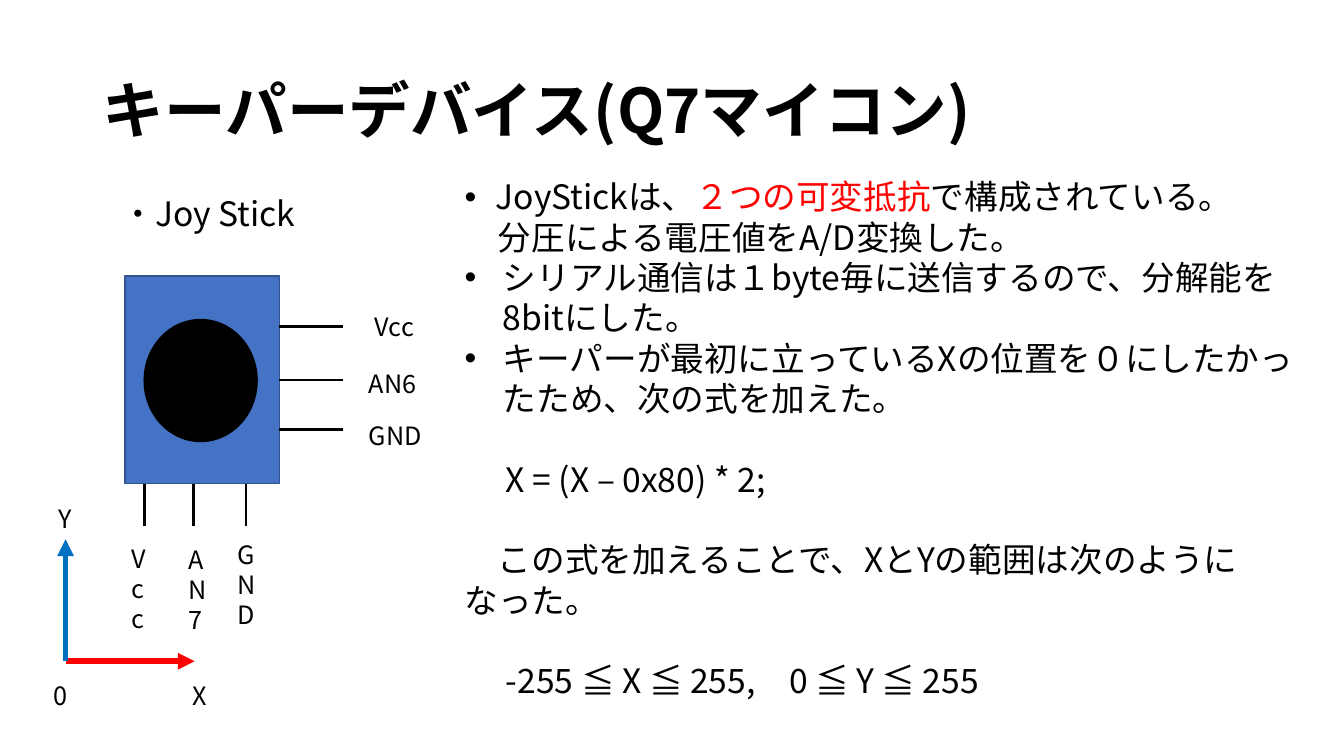
"""Build the slide on the keeper device and its joystick wiring."""
import pptx
import pptx.dml.color
import pptx.enum.shapes
import pptx.enum.text
import pptx.oxml.ns
import pptx.util
from lxml import etree
from pptx.util import Inches

RGBColor = pptx.dml.color.RGBColor
BLACK = RGBColor(0x00, 0x00, 0x00)
RED = RGBColor(0xFF, 0x00, 0x00)
AXIS_BLUE = RGBColor(0x00, 0x70, 0xC0)
BODY_BLUE = RGBColor(0x44, 0x72, 0xC4)
EDGE_BLUE = RGBColor(0x32, 0x54, 0x91)
FONT = "Noto Sans CJK JP"
LINE_GAP = 28.8
FIRST_INDENT = 0.33
FORMULA_INDENT = 0.41


def add_element(parent, tag, **attributes):
    return etree.SubElement(parent, pptx.oxml.ns.qn(tag), **attributes)


def write_text(paragraph, *runs, size=18, bold=False, margin=0, indent=0,
               bullet=None, gap=0):
    properties = paragraph._p.get_or_add_pPr()
    properties.set("marL", str(Inches(margin)))
    properties.set("indent", str(Inches(indent)))
    if bullet:
        add_element(properties, "a:buFont", typeface="Arial")
        add_element(properties, "a:buChar", char=bullet)
    paragraph.alignment = pptx.enum.text.PP_ALIGN.LEFT
    paragraph.space_before = pptx.util.Pt(gap)
    for text, color in runs:
        run = paragraph.add_run()
        run.text = text
        run.font.size = pptx.util.Pt(size)
        run.font.bold = bold
        run.font.color.rgb = color
        run.font.name = FONT
        add_element(run._r.get_or_add_rPr(), "a:ea", typeface=FONT)


def add_text_frame(shapes, left, top, width, height):
    box = shapes.add_textbox(Inches(left), Inches(top), Inches(width), Inches(height))
    box.text_frame.word_wrap = True
    box.text_frame.auto_size = pptx.enum.text.MSO_AUTO_SIZE.SHAPE_TO_FIT_TEXT
    return box.text_frame


def add_label(shapes, text, left, top, width=0.44, height=0.4, size=18):
    frame = add_text_frame(shapes, left, top, width, height)
    write_text(frame.paragraphs[0], (text, BLACK), size=size)


def add_solid(shapes, kind, left, top, width, height, fill, edge):
    solid = shapes.add_shape(kind, Inches(left), Inches(top), Inches(width), Inches(height))
    solid.shadow.inherit = False
    solid.fill.solid()
    solid.fill.fore_color.rgb = fill
    solid.line.color.rgb = edge
    solid.line.width = pptx.util.Pt(1)
    return solid


def add_line(shapes, start, end, color=BLACK, width=2, arrow=False):
    line = shapes.add_connector(pptx.enum.shapes.MSO_CONNECTOR.STRAIGHT,
                                *map(Inches, start + end))
    line.line.color.rgb = color
    line.line.width = pptx.util.Pt(width)
    if arrow:
        add_element(line.line._get_or_add_ln(), "a:tailEnd", type="triangle")
    add_element(line._element.spPr, "a:effectLst")
    return line


def add_title(slide):
    title = slide.shapes.title
    title.left, title.top, title.width, title.height = map(Inches, (0.92, 0.4, 11.5, 1.45))
    frame = title.text_frame
    frame.auto_size = pptx.enum.text.MSO_AUTO_SIZE.NONE
    frame.vertical_anchor = pptx.enum.text.MSO_ANCHOR.MIDDLE
    write_text(frame.paragraphs[0], ("キーパーデバイス(Q7マイコン)", BLACK), size=44, bold=True)
    frame.paragraphs[0].line_spacing = 0.9


def add_joystick(shapes):
    kinds = pptx.enum.shapes.MSO_SHAPE
    housing = add_solid(shapes, kinds.RECTANGLE, 1.24, 2.74, 1.53, 2.06, BODY_BLUE, EDGE_BLUE)
    add_solid(shapes, kinds.FLOWCHART_CONNECTOR, 1.43, 3.17, 1.12, 1.21, BLACK, BLACK)
    add_label(shapes, "・Joy Stick", 1.11, 1.86, 2.29, 0.5, size=24)

    for text, pin_x, left, top in (("Vcc", 1.43, 1.21, 5.34), ("AN7", 1.92, 1.77, 5.35),
                                   ("GND", 2.44, 2.26, 5.3)):
        add_line(shapes, (pin_x, 4.8), (pin_x, 5.22))
        add_label(shapes, text, left, top, height=1.01)

    for text, pin_y, left, top in (("Vcc", 3.24, 3.62, 3.04), ("AN6", 3.77, 3.56, 3.6),
                                   ("GND", 4.26, 3.56, 4.12)):
        pin = add_line(shapes, (3.4, pin_y), (2.77, pin_y))
        if text == "AN6":
            pin.end_connect(housing, 3)
        add_label(shapes, text, left, top, width=0.81)


def add_axes(shapes):
    axes = shapes.add_group_shape().shapes
    origin = (0.65, 6.56)
    add_line(axes, origin, (1.93, 6.56), RED, 4, arrow=True)
    add_line(axes, origin, (0.65, 5.35), AXIS_BLUE, 4, arrow=True)
    add_label(axes, "Y", 0.48, 4.94)
    add_label(axes, "0", 0.43, 6.7)
    add_label(shapes, "X", 1.81, 6.7)


def add_explanation(shapes):
    frame = add_text_frame(shapes, 4.51, 1.7, 8.51, 5.35)
    first_point = dict(margin=0.31, indent=-0.31, bullet="•")
    point = dict(margin=0.38, indent=-0.38, bullet="•")
    formula = dict(indent=FORMULA_INDENT, gap=LINE_GAP)
    passages = (
        ((("JoyStickは、", BLACK), ("２つの可変抵抗", RED), ("で構成されている。", BLACK)),
         first_point),
        ((("分圧による電圧値をA/D変換した。", BLACK),), dict(indent=FIRST_INDENT)),
        ((("シリアル通信は１byte毎に送信するので、分解能を8bitにした。", BLACK),), point),
        ((("キーパーが最初に立っているXの位置を０にしたかったため、次の式を加えた。", BLACK),),
         point),
        ((("X = (X – 0x80) * 2;", BLACK),), formula),
        ((("この式を加えることで、XとYの範囲は次のようになった。", BLACK),),
         dict(indent=FIRST_INDENT, gap=LINE_GAP)),
        ((("-255 ≦ X ≦ 255,　0 ≦ Y ≦ 255", BLACK),), formula),
    )
    for number, (runs, layout) in enumerate(passages):
        paragraph = frame.add_paragraph() if number else frame.paragraphs[0]
        write_text(paragraph, *runs, size=24, **layout)


def main():
    deck = pptx.Presentation()
    deck.slide_width = Inches(13.33)
    deck.slide_height = Inches(7.5)
    slide = deck.slides.add_slide(deck.slide_layouts[5])
    add_title(slide)
    add_joystick(slide.shapes)
    add_axes(slide.shapes)
    add_explanation(slide.shapes)
    deck.save("out.pptx")


if __name__ == "__main__":
    main()
